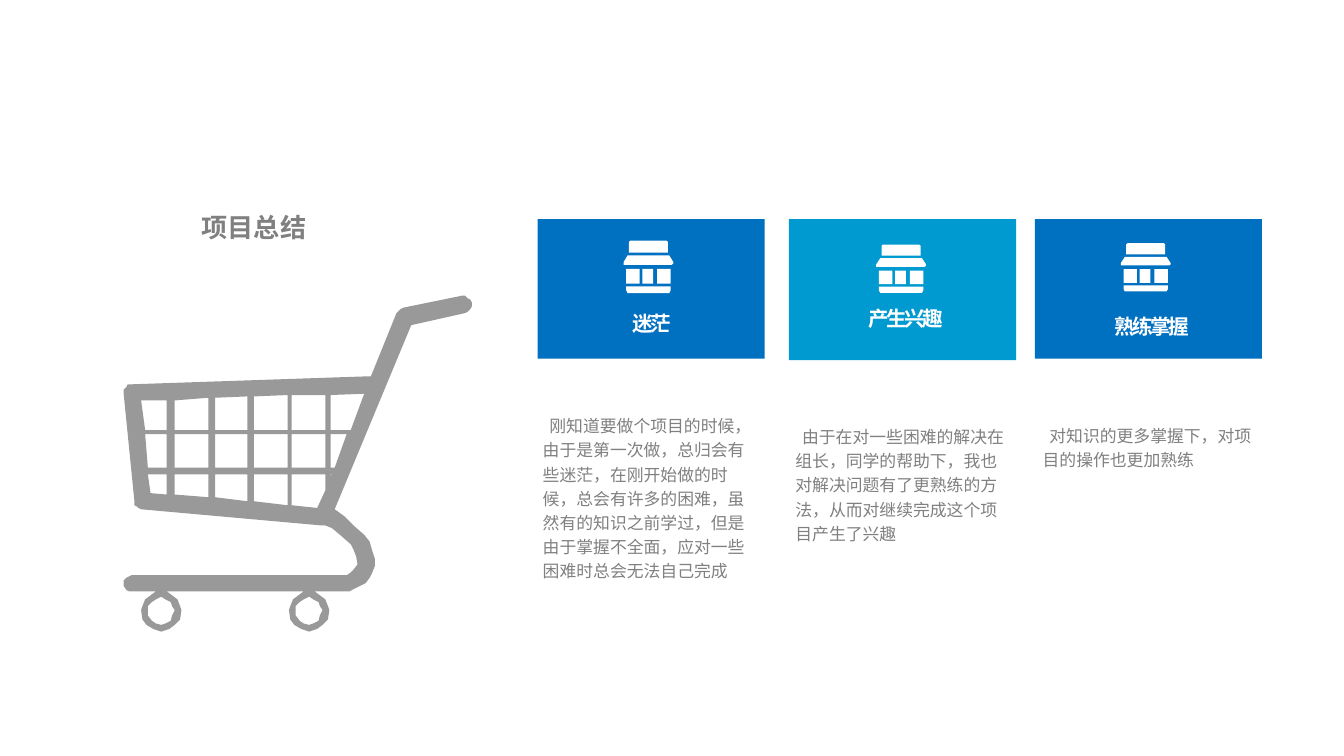
from dataclasses import dataclass

from lxml.etree import SubElement
from pptx import Presentation
from pptx.dml.color import RGBColor
from pptx.enum.shapes import MSO_SHAPE
from pptx.enum.text import MSO_ANCHOR, MSO_AUTO_SIZE, PP_ALIGN
from pptx.oxml.ns import qn
from pptx.util import Inches, Pt


@dataclass(frozen=True)
class Theme:
    font: str = "Noto Sans CJK SC"
    blue: str = "0070C0"
    cyan: str = "009AD0"
    white: str = "FFFFFF"
    text: str = "808080"
    cart: str = "999999"
    title_size: int = 14
    label_size: int = 11
    body_size: int = 9


@dataclass(frozen=True)
class Card:
    left: float
    height: float
    color: str
    label: str
    label_box: tuple  # left offset, top offset, height
    icon_box: tuple  # left offset, top offset, height
    body: str
    body_box: tuple  # left offset, top offset, height


THEME = Theme()
CARD_TOP, CARD_WIDTH = 1.63, 1.69
CARDS = [
    Card(4, 1.04, THEME.blue, "迷茫", (0.03, 0.61, 0.33), (0.64, 0.16, 0.39),
         "刚知道要做个项目的时候，由于是第一次做，总归会有些迷茫，在刚开始做的时候，"
         "总会有许多的困难，虽然有的知识之前学过，但是由于掌握不全面，"
         "应对一些困难时总会无法自己完成", (-0.06, 1.38, 1.37)),
    Card(5.87, 1.05, THEME.cyan, "产生兴趣", (0.05, 0.61, 0.26), (0.65, 0.19, 0.36),
         "由于在对一些困难的解决在组长，同学的帮助下，我也对解决问题有了更熟练的方法，"
         "从而对继续完成这个项目产生了兴趣", (-0.05, 1.46, 1.01)),
    Card(7.7, 1.04, THEME.blue, "熟练掌握", (0.05, 0.65, 0.3), (0.64, 0.18, 0.36),
         "对知识的更多掌握下，对项目的操作也更加熟练", (-0.04, 1.46, 0.46)),
]


def paint(shape, color):
    shape.fill.solid()
    shape.fill.fore_color.rgb = RGBColor.from_string(color)
    shape.line.fill.background()
    shape.shadow.inherit = False


def add_text(shapes, box, text, size, color, bold=False):
    frame = shapes.add_textbox(*map(Inches, box)).text_frame
    frame.word_wrap = True
    frame.text = text
    font = frame.paragraphs[0].runs[0].font
    font.name, font.size, font.bold = THEME.font, Pt(size), bold
    font.color.rgb = RGBColor.from_string(color)
    properties = frame.paragraphs[0].runs[0]._r.get_or_add_rPr()
    SubElement(properties, qn("a:ea"), typeface=THEME.font)
    return frame


def add_outline(shapes, left, top, contours, color, stretch=1):
    """Draw closed contours, given in hundredths of an inch, as one shape."""
    unit = Inches(0.01)
    builder = shapes.build_freeform(*contours[0][0], scale=(unit, unit * stretch))
    for number, points in enumerate(contours):
        if number:
            builder.move_to(*points[0])
        builder.add_line_segments(points[1:], close=True)
    paint(builder.convert_to_shape(Inches(left), Inches(top)), color)


def rectangle(left, top, right, bottom):
    return [(left, top), (right, top), (right, bottom), (left, bottom)]


def shifted(points, offset):
    return [(x + offset, y) for x, y in points]


def add_cart(page, left, top):
    wheel_gap = 110
    tyre = [(24, 220), (20, 223), (16, 226), (14, 231), (13, 234), (14, 241),
            (17, 245), (22, 248), (28, 250), (34, 248), (38, 245), (42, 241),
            (43, 234), (42, 231), (40, 226), (36, 223), (32, 220)]
    hub = [(38, 234), (36, 238), (35, 242), (31, 244), (28, 245), (24, 244),
           (21, 242), (18, 238), (18, 234), (18, 231), (21, 228), (24, 226),
           (28, 224), (31, 226), (35, 228), (36, 231)]
    # Handle, basket rim and chassis, then wheels and the bent rear tube
    body = [(259, 5), (258, 3), (256, 2), (254, 0), (252, 0), (208, 9), (206, 10),
            (203, 13), (184, 60), (183, 60), (6, 66), (3, 66), (2, 68), (0, 70),
            (0, 73), (8, 153), (8, 156), (10, 157), (11, 158), (13, 159),
            (147, 171), (150, 171), (155, 173), (161, 178), (169, 185), (171, 189),
            (173, 194), (174, 200), (171, 204), (169, 206), (166, 208), (6, 208),
            (4, 209), (2, 210), (0, 212), (0, 216), (2, 219), (4, 220)]
    body += tyre + shifted(tyre, wheel_gap)
    body += [(168, 220), (176, 216), (180, 214), (183, 210), (185, 206), (187, 201),
             (187, 196), (185, 190), (183, 183), (179, 178), (171, 171), (164, 164),
             (157, 159), (214, 22), (254, 13), (256, 12), (258, 10), (259, 8)]
    contours = [body, hub, shifted(hub, wheel_gap)]

    # Basket openings: full columns, with sloping top and bottom edges
    columns = [(38, 63), (68, 92), (97, 122), (125, 150)]
    tops = [78, 76, 75, 74, 74]
    bottoms = [148, 150, 153, 156]
    for index, (start, end) in enumerate(columns):
        contours.append([(start, tops[index]), (end, tops[index + 1]),
                         (end, 100), (start, 100)])
        contours.append(rectangle(start, 103, end, 128))
        if index < 3:
            contours.append([(start, 133), (end, 133), (end, bottoms[index + 1]),
                             (start, bottoms[index])])
    # Openings cut by the slanted ends of the basket
    contours += [
        [(13, 78), (32, 78), (32, 100), (16, 100)],
        [(16, 103), (32, 103), (32, 128), (18, 128)],
        [(18, 133), (32, 133), (32, 148), (20, 147)],
        [(125, 133), (150, 133), (150, 145), (144, 158), (125, 156)],
        [(154, 74), (179, 73), (169, 100), (154, 100)],
        [(154, 103), (166, 103), (157, 128), (154, 128)],
        [(154, 133), (155, 133), (154, 134)],
    ]
    add_outline(page.shapes, left, top, contours, THEME.cart)


def add_shop_icon(shapes, left, top, height):
    roof = [(5, 0), (32, 0), (33, 1), (33, 9), (4, 9), (4, 1)]
    awning = [(3, 11), (34, 11), (37, 16), (37, 17), (36, 18), (0, 18), (0, 16)]
    windows = [rectangle(start, 21, end, 32) for start, end in ((2, 12), (14, 22), (25, 35))]
    base = [(2, 34), (35, 34), (35, 37), (34, 39), (3, 39), (2, 37)]
    add_outline(shapes, left, top, [roof, awning, *windows, base], THEME.white,
                stretch=height / 0.39)


def add_card(page, card, top, width):
    shapes = page.shapes.add_group_shape().shapes
    panel = shapes.add_shape(MSO_SHAPE.RECTANGLE, Inches(card.left), Inches(top),
                             Inches(width), Inches(card.height))
    paint(panel, card.color)

    # Description below the panel, with punctuation kept inside the box
    across, down, height = card.body_box
    frame = add_text(shapes, (card.left + across, top + down, 1.77, height),
                     card.body, THEME.body_size, THEME.text)
    frame.vertical_anchor = MSO_ANCHOR.MIDDLE
    frame.auto_size = MSO_AUTO_SIZE.SHAPE_TO_FIT_TEXT
    para = frame.paragraphs[0]
    para.line_spacing = 1.2
    properties = para._p.get_or_add_pPr()
    properties.set("indent", str(Inches(0.05)))
    properties.set("hangingPunct", "0")

    # Label with tightened letters
    across, down, height = card.label_box
    frame = add_text(shapes, (card.left + across, top + down, 1.64, height),
                     card.label, THEME.label_size, THEME.white, bold=True)
    frame.vertical_anchor = MSO_ANCHOR.MIDDLE
    para = frame.paragraphs[0]
    para.alignment = PP_ALIGN.CENTER
    para.runs[0]._r.get_or_add_rPr().set("spc", "-150")

    across, down, height = card.icon_box
    add_shop_icon(shapes, card.left + across, top + down, height)


def add_title(page, box):
    frame = add_text(page.shapes, box, "项目总结", THEME.title_size, THEME.text, bold=True)
    frame.margin_left = frame.margin_right = frame.margin_top = frame.margin_bottom = 0


def main():
    deck = Presentation()
    # Widescreen, 16 to 9
    deck.slide_width = Inches(10)
    deck.slide_height = deck.slide_width * 9 // 16
    page = deck.slides.add_slide(deck.slide_layouts[6])
    add_cart(page, 0.92, 2.2)
    add_title(page, (1.5, 1.57, 2.14, 0.25))
    for card in CARDS:
        add_card(page, card, CARD_TOP, CARD_WIDTH)
    deck.save("out.pptx")


if __name__ == "__main__":
    main()
